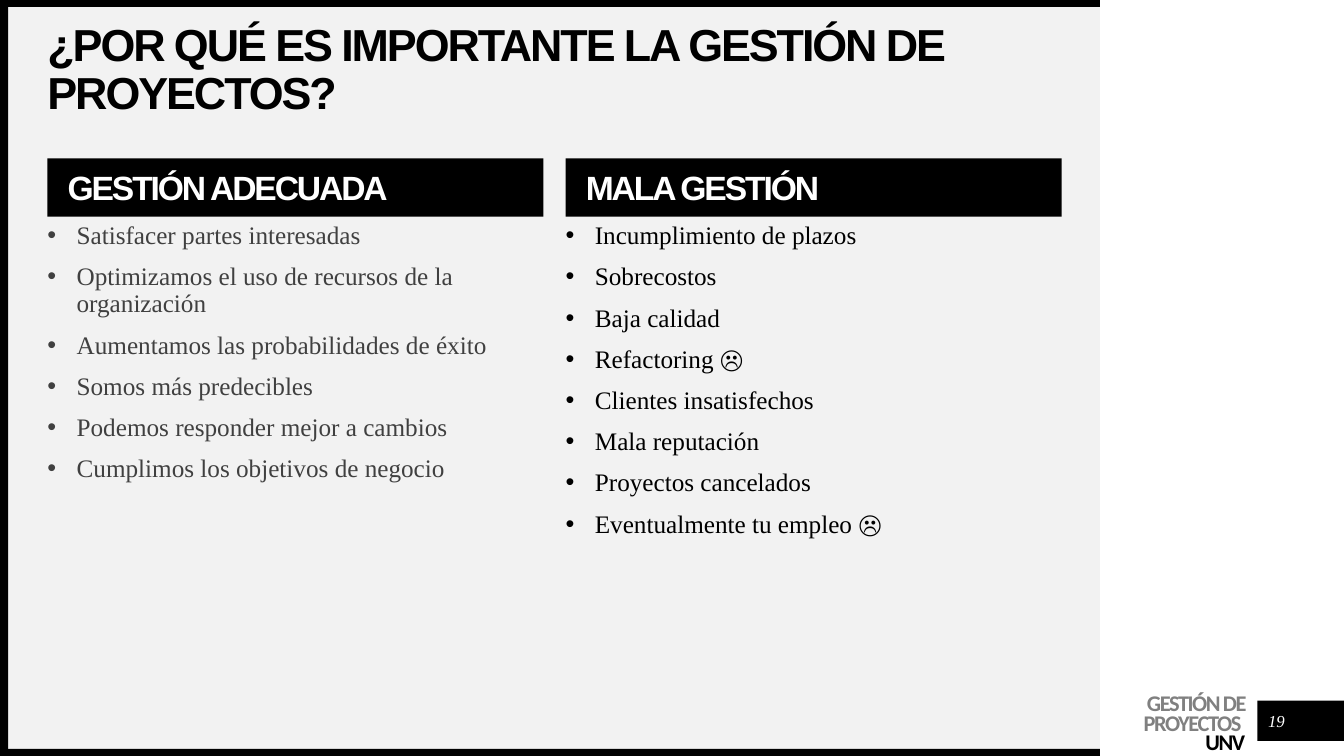
import pptx
import pptx.dml.color
import pptx.enum.shapes
import pptx.enum.text
import pptx.oxml
import pptx.oxml.ns
import pptx.util

Inches = pptx.util.Inches
ALIGN = pptx.enum.text.PP_ALIGN
ANCHOR = pptx.enum.text.MSO_ANCHOR

BLACK, WHITE, PANEL_GRAY = "000000", "FFFFFF", "F2F2F2"
HEADING_FONT, BODY_FONT = "Arial", "Times New Roman"
BULLET_INDENT = 0.29

GOOD_RESULTS = [
    "Satisfacer partes interesadas",
    "Optimizamos el uso de recursos de la organización",
    "Aumentamos las probabilidades de éxito",
    "Somos más predecibles",
    "Podemos responder mejor a cambios",
    "Cumplimos los objetivos de negocio",
]
BAD_RESULTS = [
    "Incumplimiento de plazos",
    "Sobrecostos",
    "Baja calidad",
    "Refactoring ☹",
    "Clientes insatisfechos",
    "Mala reputación",
    "Proyectos cancelados",
    "Eventualmente tu empleo ☹",
]


def rgb(color):
    return pptx.dml.color.RGBColor.from_string(color)


def place(shape, left, top, width, height):
    shape.left, shape.top = Inches(left), Inches(top)
    shape.width, shape.height = Inches(width), Inches(height)


def fill_shape(shape, color):
    shape.fill.solid()
    shape.fill.fore_color.rgb = rgb(color)


def add_rectangle(slide, box, color):
    shape = slide.shapes.add_shape(
        pptx.enum.shapes.MSO_SHAPE.RECTANGLE, *map(Inches, box))
    fill_shape(shape, color)
    shape.line.fill.background()
    shape.shadow.inherit = False


def prepare_frame(shape, anchor=ANCHOR.TOP, inset_left=0, inset_top=0):
    frame = shape.text_frame
    frame.word_wrap = True
    frame.auto_size = pptx.enum.text.MSO_AUTO_SIZE.NONE
    frame.vertical_anchor = anchor
    frame.margin_left, frame.margin_top = Inches(inset_left), Inches(inset_top)
    frame.margin_right = frame.margin_bottom = 0
    return frame


def write_text(paragraph, text, *, size, font, color, bold=False, italic=False,
               tracking=0, align=ALIGN.LEFT, line_spacing=0.9, space_before=0):
    """Write one run; tracking and space_before are in points."""
    paragraph.alignment = align
    paragraph.line_spacing = line_spacing
    paragraph.space_before = pptx.util.Pt(space_before)
    run = paragraph.add_run()
    run.text = text
    run.font.size = pptx.util.Pt(size)
    run.font.name = font
    run.font.bold, run.font.italic = bold, italic
    run.font.color.rgb = rgb(color)
    if tracking:
        run.font._element.set("spc", str(round(tracking * 100)))


def add_bullet(paragraph):
    properties = paragraph._p.get_or_add_pPr()
    properties.set("marL", str(Inches(BULLET_INDENT)))
    properties.set("indent", str(-Inches(BULLET_INDENT)))
    bullet_font = pptx.oxml.parse_xml(
        f'<a:buFont {pptx.oxml.ns.nsdecls("a")} typeface="Arial"/>')
    bullet = pptx.oxml.parse_xml(
        f'<a:buChar {pptx.oxml.ns.nsdecls("a")} char="•"/>')
    properties.extend([bullet_font, bullet])


def add_background(slide, left, top, width, height):
    bar = 0.07
    add_rectangle(slide, (left, top, width, height), PANEL_GRAY)
    add_rectangle(slide, (left, top + height - bar, width, bar), BLACK)
    add_rectangle(slide, (left, top, width, bar), BLACK)
    add_rectangle(slide, (left, top, 0.08, height), BLACK)


def add_footer(slide, left, top, width):
    """Course name at the left and page number in a black tab at the right."""
    tab_width = 0.86
    tab_left = left + width - tab_width
    add_rectangle(slide, (tab_left, top + 0.08, tab_width, 0.4), BLACK)

    course = slide.shapes.add_textbox(*map(Inches, (left, top, 1.82, 0.64)))
    frame = prepare_frame(course, inset_top=0.04)
    lines = [("GESTIÓN DE PROYECTOS ", "808080"), ("UNV", BLACK)]
    for index, (text, color) in enumerate(lines):
        paragraph = frame.add_paragraph() if index else frame.paragraphs[0]
        write_text(paragraph, text, size=16, font="Calibri", color=color, bold=True,
                   tracking=-1, align=ALIGN.RIGHT, line_spacing=pptx.util.Pt(14))

    number = slide.shapes.add_textbox(
        *map(Inches, (tab_left + 0.04, top + 0.13, 0.3, 0.3)))
    frame = prepare_frame(number, ANCHOR.MIDDLE)
    write_text(frame.paragraphs[0], "19", size=12, font=BODY_FONT, color=WHITE,
               italic=True, align=ALIGN.CENTER, line_spacing=1.0)


def fill_title(title, box, text):
    place(title, *box)
    frame = prepare_frame(title, ANCHOR.MIDDLE)
    write_text(frame.paragraphs[0], text, size=32, font=HEADING_FONT, color=BLACK,
               bold=True, tracking=-1.5)


def fill_column(heading, body, box, heading_text, items, color):
    left, top, width, height = box
    heading_height, body_offset = 0.58, 0.64
    place(heading, left, top, width, heading_height)
    fill_shape(heading, BLACK)
    frame = prepare_frame(heading, ANCHOR.MIDDLE, inset_left=0.2, inset_top=0.04)
    write_text(frame.paragraphs[0], heading_text, size=24, font=HEADING_FONT,
               color=WHITE, bold=True, tracking=-1.5, space_before=10)

    place(body, left, top + body_offset, width, height - body_offset)
    frame = prepare_frame(body)
    for index, item in enumerate(items):
        paragraph = frame.add_paragraph() if index else frame.paragraphs[0]
        write_text(paragraph, item, size=18, font=BODY_FONT, color=color,
                   space_before=10)
        add_bullet(paragraph)


def main():
    presentation = pptx.Presentation()
    presentation.slide_width, presentation.slide_height = Inches(13.33), Inches(7.5)
    comparison_layout = presentation.slide_layouts[4]
    slide = presentation.slides.add_slide(comparison_layout)
    title, *column_placeholders = list(slide.placeholders)

    add_background(slide, 0, 0, 10.91, 7.5)
    add_footer(slide, 10.53, 6.87, 2.8)
    # Placeholders come first in the slide, so they are raised above the panel.
    for placeholder in [title, *column_placeholders]:
        slide.shapes._spTree.append(placeholder._element)

    margin, column_width, gap = 0.47, 4.92, 0.22
    fill_title(title, (margin, 0.47, 2 * column_width + gap, 0.47),
               "¿POR QUÉ ES IMPORTANTE LA GESTIÓN DE PROYECTOS?")
    columns = [("GESTIÓN ADECUADA", GOOD_RESULTS, "404040"),
               ("MALA GESTIÓN", BAD_RESULTS, BLACK)]
    for index, content in enumerate(columns):
        heading, body = column_placeholders[2 * index:2 * index + 2]
        left = margin + index * (column_width + gap)
        fill_column(heading, body, (left, 1.57, column_width, 5.2), *content)

    presentation.save("out.pptx")


if __name__ == "__main__":
    main()
